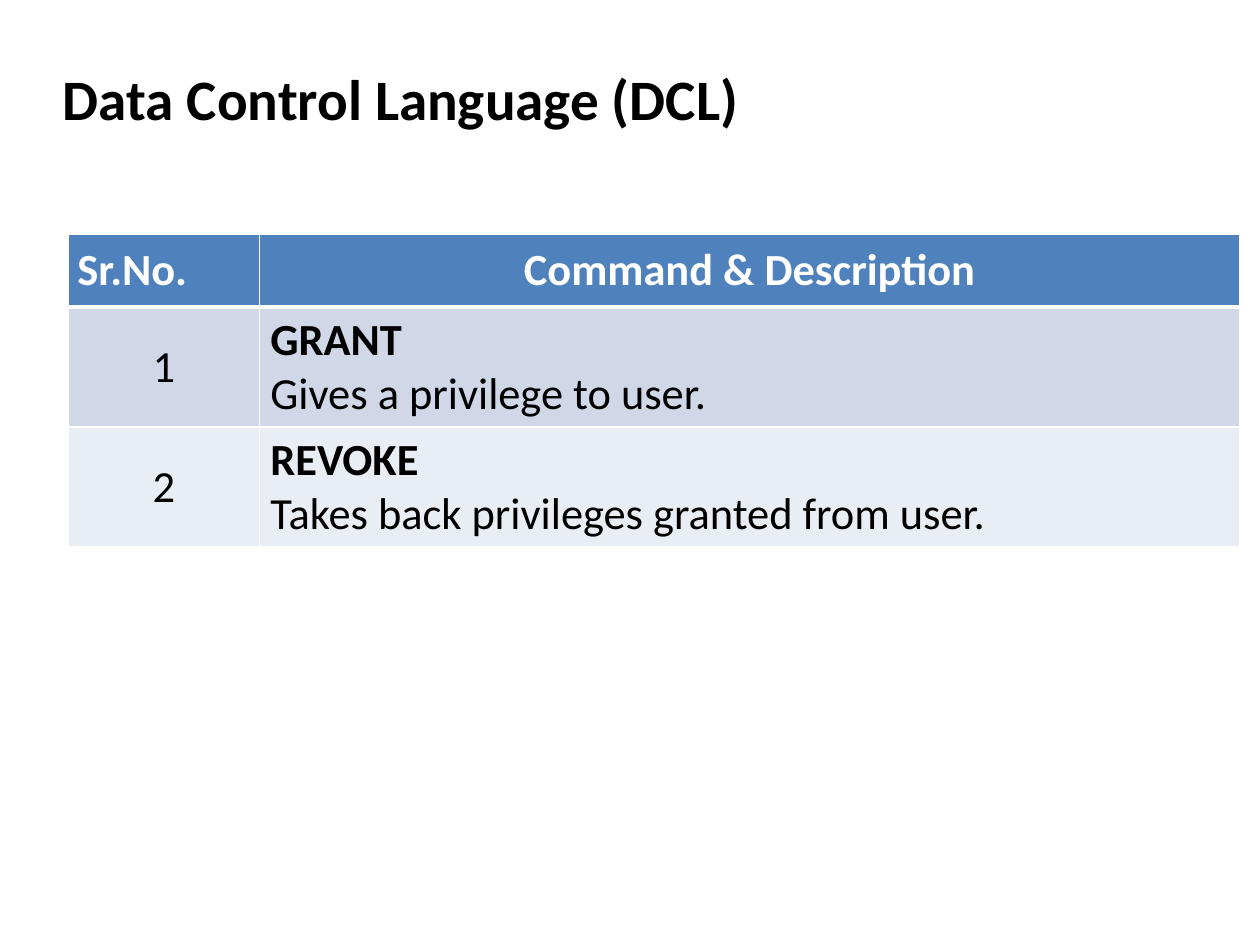
from dataclasses import dataclass

from lxml import etree
from pptx import Presentation
from pptx.dml.color import RGBColor
from pptx.enum.text import MSO_ANCHOR, PP_ALIGN
from pptx.oxml.ns import qn
from pptx.util import Cm, Pt

LEFT, CENTER = PP_ALIGN.LEFT, PP_ALIGN.CENTER
TOP, MIDDLE = MSO_ANCHOR.TOP, MSO_ANCHOR.MIDDLE

FONT = "Calibri"
COLORS = {
    "text": "000000",
    "white": "FFFFFF",
    "header": "4F81BD",
    "odd_row": "D0D8E8",
    "even_row": "E9EDF4",
}
COLUMN_WIDTHS = (4.24, 21.79)
ROW_HEIGHTS = (1.62, 2.66, 2.66)
EVEN_MARGINS = (0.2, 0.2, 0.2, 0.2)
TEXT_MARGINS = (0.25, 0.13, 0.25, 0.13)


@dataclass
class Command:
    name: str
    description: str


COMMANDS = (
    Command("GRANT", "Gives a privilege to user."),
    Command("REVOKE", "Takes back privileges granted from user."),
)


def write_text(paragraph, text: str, *, size: float = 28, bold: bool = False,
               color: str = "text", align=LEFT) -> None:
    paragraph.alignment = align
    run = paragraph.add_run()
    run.text = text
    run.font.name = FONT
    run.font.size = Pt(size)
    run.font.bold = bold
    run.font.color.rgb = RGBColor.from_string(COLORS[color])


def set_borders(cell, top: float = 1, bottom: float = 1) -> None:
    properties = cell._tc.get_or_add_tcPr()
    widths = {"a:lnL": 1, "a:lnR": 1, "a:lnT": top, "a:lnB": bottom}
    for index, (tag, width) in enumerate(widths.items()):
        line = etree.Element(qn(tag), w=str(Pt(width)))
        fill = etree.SubElement(line, qn("a:solidFill"))
        etree.SubElement(fill, qn("a:srgbClr"), val=COLORS["white"])
        properties.insert(index, line)


def format_cell(cell, fill: str, margins: tuple, anchor=TOP) -> None:
    cell.fill.solid()
    cell.fill.fore_color.rgb = RGBColor.from_string(COLORS[fill])
    cell.vertical_anchor = anchor
    (cell.margin_left, cell.margin_top,
     cell.margin_right, cell.margin_bottom) = map(Cm, margins)


def add_title(slide, text: str) -> None:
    box = slide.shapes.add_textbox(Cm(1.4), Cm(0.84), Cm(25.2), Cm(2.67))
    frame = box.text_frame
    frame.word_wrap = True
    frame.vertical_anchor = MIDDLE
    frame.margin_left = frame.margin_right = 0
    frame.margin_top = frame.margin_bottom = 0
    write_text(frame.paragraphs[0], text, size=36, bold=True)


def add_command_table(slide) -> None:
    table = slide.shapes.add_table(
        len(ROW_HEIGHTS), len(COLUMN_WIDTHS), Cm(1.52), Cm(5.21),
        Cm(sum(COLUMN_WIDTHS)), Cm(sum(ROW_HEIGHTS))).table
    for column, width in zip(table.columns, COLUMN_WIDTHS):
        column.width = Cm(width)
    for row, height in zip(table.rows, ROW_HEIGHTS):
        row.height = Cm(height)

    # Header row
    headings = (("Sr.No.", LEFT), ("Command & Description", CENTER))
    for cell, (heading, align) in zip(table.rows[0].cells, headings):
        format_cell(cell, "header", EVEN_MARGINS)
        set_borders(cell, bottom=3)
        write_text(cell.text_frame.paragraphs[0], heading, bold=True,
                   color="white", align=align)

    # Command rows
    for number, command in enumerate(COMMANDS, start=1):
        fill = "odd_row" if number % 2 else "even_row"
        number_cell, command_cell = table.rows[number].cells
        format_cell(number_cell, fill, EVEN_MARGINS, MIDDLE)
        format_cell(command_cell, fill, TEXT_MARGINS)
        for cell in (number_cell, command_cell):
            set_borders(cell, top=3 if number == 1 else 1)
        write_text(number_cell.text_frame.paragraphs[0], str(number), align=CENTER)
        frame = command_cell.text_frame
        write_text(frame.paragraphs[0], command.name, bold=True)
        write_text(frame.add_paragraph(), command.description)


def main() -> None:
    presentation = Presentation()
    presentation.slide_width = Cm(28)
    presentation.slide_height = Cm(21)
    slide = presentation.slides.add_slide(presentation.slide_layouts[6])
    add_title(slide, "Data Control Language (DCL)")
    add_command_table(slide)
    presentation.save("out.pptx")


if __name__ == "__main__":
    main()
